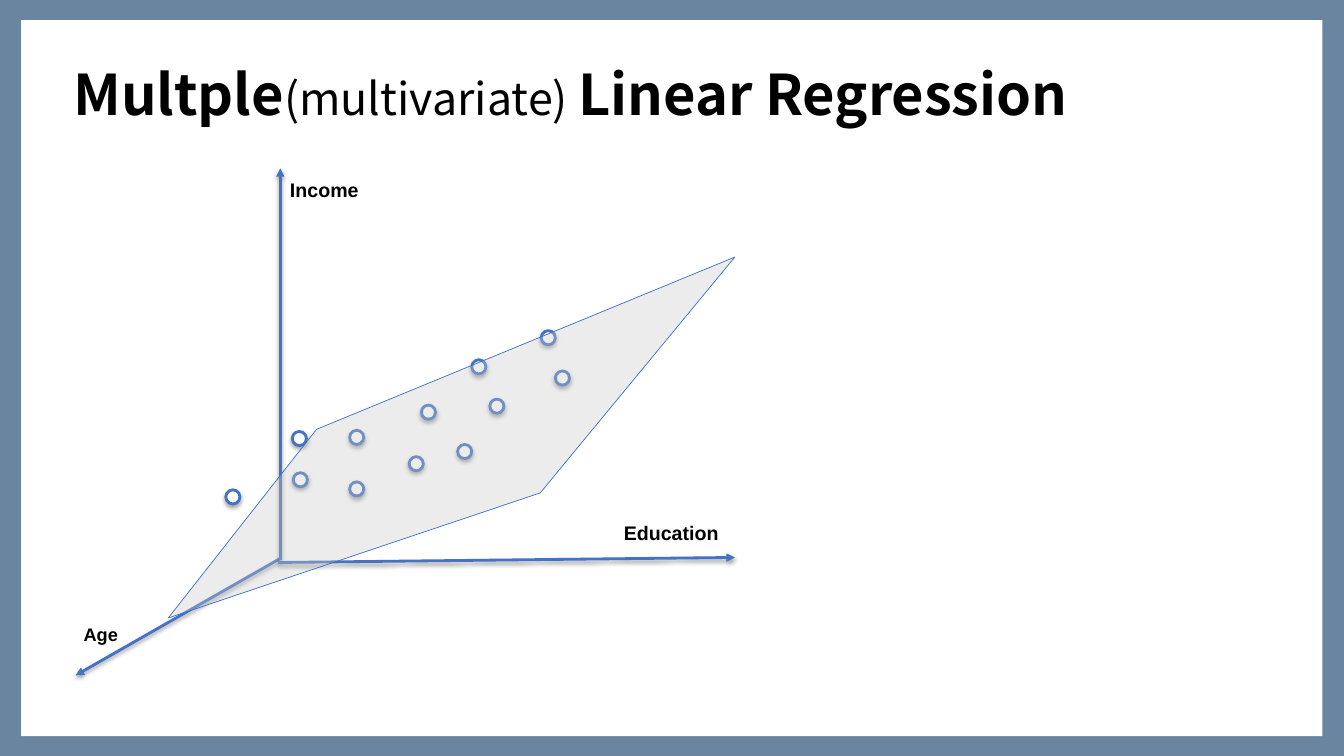
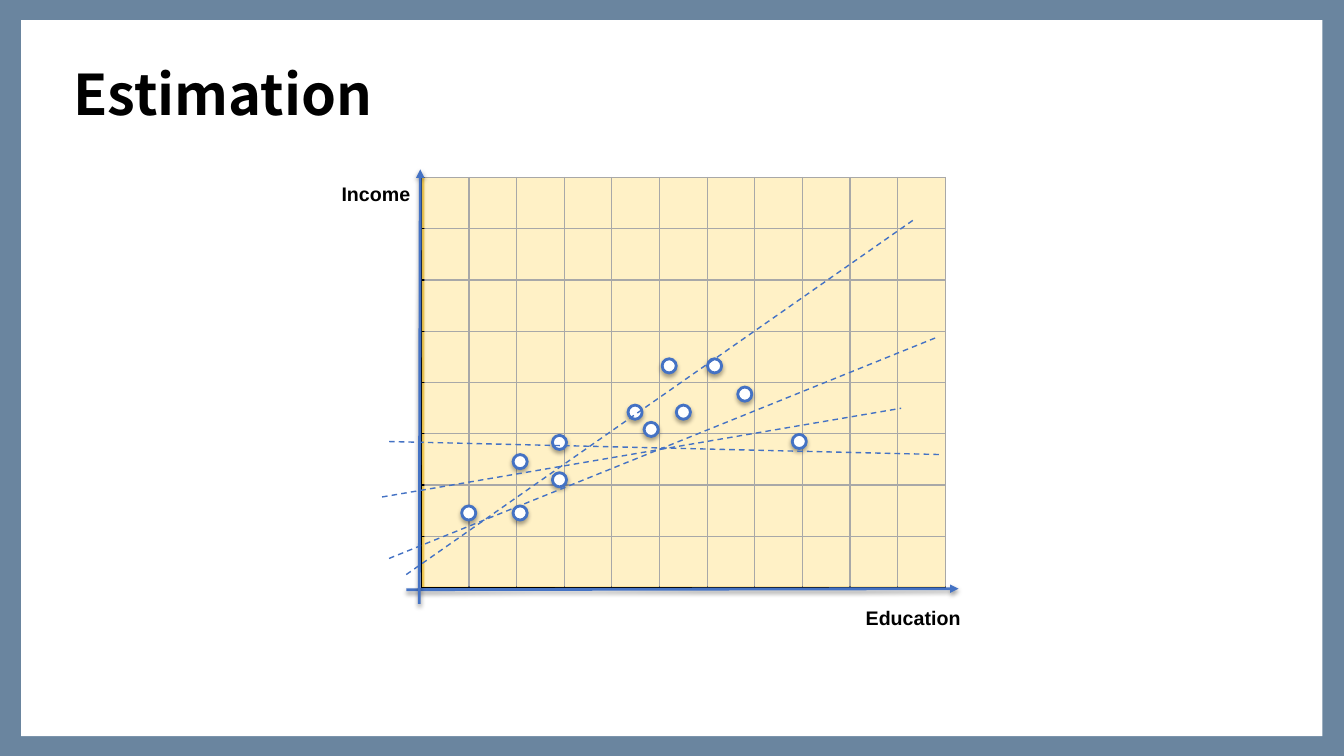
"""Build two slides that introduce linear regression with income diagrams."""
from lxml import etree
from pptx import Presentation, util as u
from pptx.dml.color import RGBColor
from pptx.enum import dml, shapes, text
from pptx.oxml import ns

FRAME = RGBColor(0x6A, 0x85, 0x9F)
WHITE = RGBColor(0xFF, 0xFF, 0xFF)
BLACK = RGBColor(0x00, 0x00, 0x00)
BLUE = RGBColor(0x44, 0x72, 0xC4)
PLANE_LINE = RGBColor(0x3F, 0x6F, 0xC3)
PLANE_FILL = RGBColor(0xC9, 0xC9, 0xC9)
YELLOW = RGBColor(0xFF, 0xD6, 0x59)
TITLE_FONT = "Noto Sans CJK KR"
LABEL_FONT = "Arial"
DOT = 10.1
DOT_SHADOW = (35, 1.8)
AXIS_SHADOW = (38, 1.6)


def add_xml(parent, tag, **attrs):
    return etree.SubElement(parent, ns.qn(tag), {k: str(v) for k, v in attrs.items()})


def pts(*values):
    return [u.Pt(v) for v in values]


class Deck:
    def __init__(self):
        self.prs = Presentation()
        self.prs.slide_width, self.prs.slide_height = pts(960, 540)
        fill = self.prs.slide_master.background.fill
        fill.solid()
        fill.fore_color.rgb = FRAME

    def slide(self, *title):
        self.s = self.prs.slides.add_slide(self.prs.slide_layouts[6])
        self.rect((15.1, 14.4, 929.5, 511.5))
        tf = self.s.shapes.add_textbox(*pts(45.4, 33.8, 849.6, 61.2)).text_frame
        tf.word_wrap = True
        tf.vertical_anchor = text.MSO_ANCHOR.BOTTOM
        p = tf.paragraphs[0]
        p.line_spacing = 0.9
        for words, size, bold in title:
            self.run(p, words, name=TITLE_FONT, size=u.Pt(size), bold=bold)

    def run(self, p, words, **fmt):
        r = p.add_run()
        r.text = words
        for key, value in fmt.items():
            setattr(r.font, key, value)
        r.font.color.rgb = BLACK

    def label(self, words, x, y, w, size=14):
        tf = self.s.shapes.add_textbox(*pts(x, y, w, size * 1.75)).text_frame
        for side in ("left", "top", "right", "bottom"):
            setattr(tf, f"margin_{side}", u.Pt(3.6))
        tf.word_wrap = False
        tf.auto_size = text.MSO_AUTO_SIZE.SHAPE_TO_FIT_TEXT
        p = tf.paragraphs[0]
        p.alignment = text.PP_ALIGN.RIGHT
        self.run(p, words, name=LABEL_FONT, size=u.Pt(size), bold=True)

    def effects(self, sp, shadow=None):
        effect = add_xml(sp.element.spPr, "a:effectLst")
        if shadow:
            alpha, distance = shadow
            outer = add_xml(effect, "a:outerShdw", blurRad=u.Pt(3), dist=u.Pt(distance),
                            dir=5400000, algn="ctr", rotWithShape=0)
            add_xml(add_xml(outer, "a:srgbClr", val=BLACK), "a:alpha", val=alpha * 1000)

    def paint(self, sp, fill, line=None, width=2, alpha=None, shadow=None):
        sp.fill.solid()
        sp.fill.fore_color.rgb = fill
        if line is None:
            sp.line.fill.background()
        else:
            sp.line.color.rgb = line
            sp.line.width = u.Pt(width)
        if alpha:
            color = sp.element.spPr.find(ns.qn("a:solidFill"))[0]
            add_xml(color, "a:alpha", val=alpha * 1000)
        self.effects(sp, shadow)

    def rect(self, box, alpha=None):
        sp = self.s.shapes.add_shape(shapes.MSO_SHAPE.RECTANGLE, *pts(*box))
        self.paint(sp, WHITE, alpha=alpha)

    def dots(self, corners):
        for x, y in corners:
            sp = self.s.shapes.add_shape(shapes.MSO_SHAPE.OVAL, *pts(x, y, DOT, DOT))
            self.paint(sp, WHITE, BLUE, shadow=DOT_SHADOW)

    def line(self, ends, width):
        sp = self.s.shapes.add_connector(shapes.MSO_CONNECTOR.STRAIGHT, *pts(*ends))
        sp.line.color.rgb = BLUE
        sp.line.width = u.Pt(width)
        return sp

    def axis(self, *ends):
        sp = self.line(ends, 2)
        add_xml(sp.element.spPr.find(ns.qn("a:ln")), "a:tailEnd", type="triangle")
        self.effects(sp, AXIS_SHADOW)

    def trend(self, *ends):
        sp = self.line(ends, 1)
        sp.line.dash_style = dml.MSO_LINE.DASH
        self.effects(sp)

    def plane(self, *corners):
        start, *rest = [pts(*corner) for corner in corners]
        builder = self.s.shapes.build_freeform(*start)
        builder.add_line_segments(rest, close=True)
        self.paint(builder.convert_to_shape(), PLANE_FILL, PLANE_LINE, 0.5, alpha=34)

    def grid(self, rows, cols, x, y, w, h):
        table = self.s.shapes.add_table(rows, cols, *pts(x, y, w, h)).table
        table.first_row = table.horz_banding = False
        for cell in table.iter_cells():
            tc_pr = cell._tc.get_or_add_tcPr()
            for side in "LRTB":
                border = add_xml(tc_pr, f"a:ln{side}", w=u.Pt(1))
                add_xml(add_xml(border, "a:solidFill"), "a:srgbClr", val=BLACK)
            cell.fill.solid()
            cell.fill.fore_color.rgb = YELLOW


def multiple_regression(deck):
    deck.slide(("Multple", 40, True), ("(multivariate) ", 32, False),
               ("Linear Regression", 40, True))
    deck.label("Education", 441.4, 368.6, 75.6)
    deck.axis(200.2, 398.9, 54, 482.4)
    deck.axis(200.2, 400.3, 200.2, 120.2)
    deck.dots([(161.3, 349.9), (209.5, 337.7), (208.8, 308.2), (249.8, 344.2),
               (249.8, 307.4), (301, 289.4), (326.9, 317.5), (349.9, 285.1),
               (386.6, 236.2), (292.3, 326.2), (396.7, 265), (337, 257)])
    deck.label("Income", 203, 123.8, 56.9)
    deck.axis(198.7, 401.8, 524.9, 398.2)
    deck.label("Age", 55.4, 441.4, 32.4, 13)
    deck.plane((226.1, 306.7), (524.9, 183.6), (385.9, 352.1), (120.2, 441.4))


def estimation(deck):
    deck.slide(("Estimation", 40, True))
    deck.grid(8, 11, 301, 126.7, 374.4, 293)
    deck.rect((303.1, 121, 405.4, 298.1), alpha=66)
    deck.label("Education", 614.2, 429.1, 75.6)
    deck.axis(290.2, 421.2, 684.7, 420.5)
    deck.axis(299.5, 431.3, 300.2, 121)
    deck.dots([(329.8, 361.4), (366.5, 361.4), (366.5, 324.7), (394.6, 337.7),
               (394.6, 311), (448.6, 289.4), (483.1, 289.4), (473, 256.3),
               (505.4, 256.3), (460.1, 301.7), (565.9, 310.3), (527, 276.5)])
    deck.label("Income", 239.8, 126.7, 56.9)
    deck.trend(277.9, 398.9, 670.3, 240.5)
    deck.trend(290.2, 410.4, 653.8, 156.2)
    deck.trend(272.9, 355, 643.7, 291.6)
    deck.trend(277.9, 315.4, 671.8, 324.7)


def main():
    deck = Deck()
    multiple_regression(deck)
    estimation(deck)
    deck.prs.save("out.pptx")


if __name__ == "__main__":
    main()
